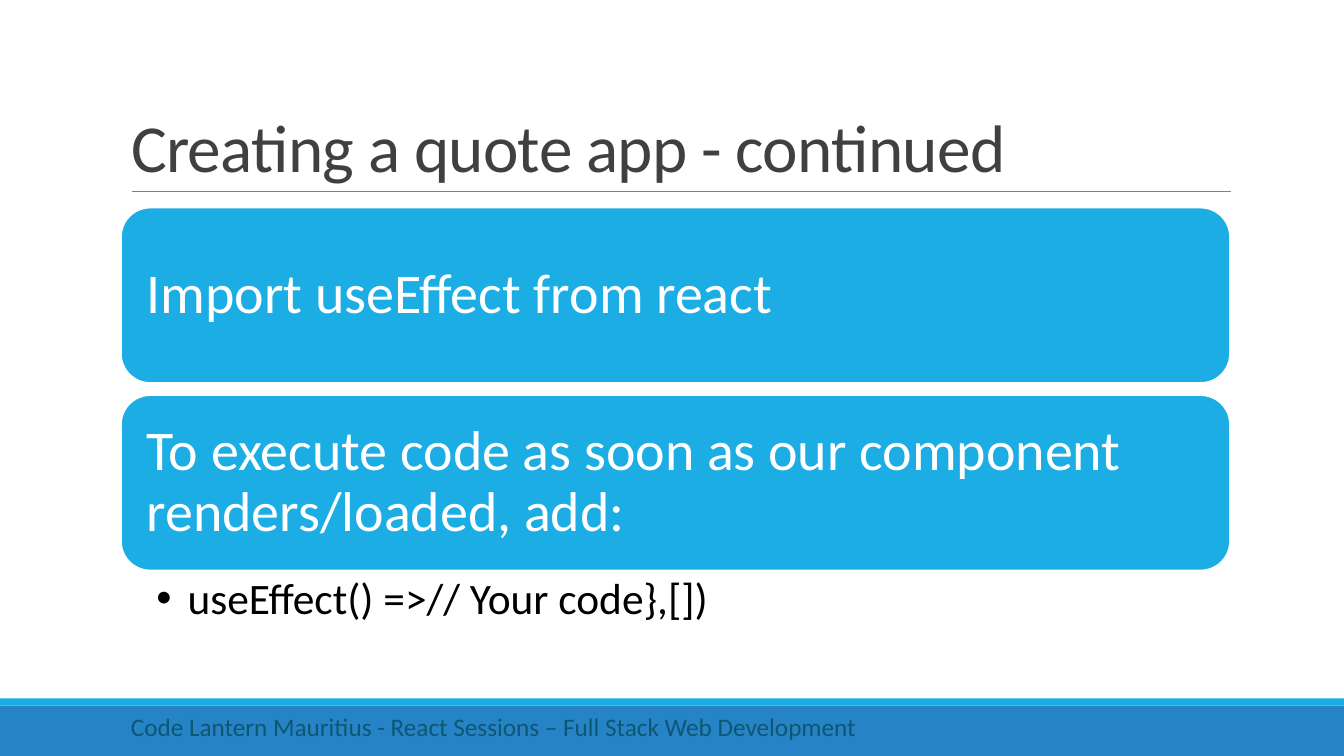
from dataclasses import dataclass

from lxml.etree import SubElement
from pptx import Presentation
from pptx.dml.color import RGBColor as Rgb
from pptx.enum.shapes import MSO_CONNECTOR as Connector, MSO_SHAPE as Preset
from pptx.enum.text import MSO_ANCHOR as Anchor, MSO_AUTO_SIZE as AutoSize, PP_ALIGN as Align
from pptx.oxml.ns import qn
from pptx.util import Inches, Pt


@dataclass(frozen=True)
class Theme:
    font: str = "Calibri"
    sky: str = "1CADE4"
    blue: str = "2683C6"
    white: str = "FFFFFF"
    black: str = "000000"
    heading: str = "404040"
    rule: str = "808080"
    credit: str = "0E5772"
    title_size: int = 48
    step_size: int = 40
    code_size: int = 31
    credit_size: int = 18


class QuoteSlide:
    """Draws the slide on a grid of 133.3 columns by 75 rows, each 0.1 inch."""

    columns, rows = 133.3, 75

    def __init__(self, deck, theme):
        self.theme = theme
        deck.slide_width, deck.slide_height = self.cells(self.columns, self.rows)
        self.slide = deck.slides.add_slide(deck.slide_layouts[1])
        self.shapes = self.slide.shapes

    def cells(self, *counts):
        return [Inches(count / 10) for count in counts]

    def place(self, holder, box):
        holder.left, holder.top, holder.width, holder.height = self.cells(*box)

    def set_text(self, holder, text, size, color, anchor, insets=(1, 0.5, 1, 0.5), spacing=1.0):
        frame = holder.text_frame
        frame.word_wrap, frame.auto_size = True, AutoSize.NONE
        frame.vertical_anchor = anchor
        (frame.margin_left, frame.margin_top,
         frame.margin_right, frame.margin_bottom) = self.cells(*insets)
        frame.text = text
        line = frame.paragraphs[0]
        line.alignment, line.line_spacing = Align.LEFT, spacing
        line.space_before = Pt(0)
        line.font.name, line.font.size = self.theme.font, Pt(size)
        line.font.color.rgb = Rgb.from_string(color)
        return line

    def block(self, box, fill, preset=Preset.RECTANGLE, outline=None):
        block = self.shapes.add_shape(preset, *self.cells(*box))
        block.shadow.inherit = False
        block.fill.solid()
        block.fill.fore_color.rgb = Rgb.from_string(fill)
        if outline:
            block.line.color.rgb = Rgb.from_string(outline)
            block.line.width = Pt(1.25)
        else:
            block.line.fill.background()
        return block

    def rule(self, start, end, row):
        rule = self.shapes.add_connector(Connector.STRAIGHT, *self.cells(start, row, end, row))
        rule.line.color.rgb = Rgb.from_string(self.theme.rule)
        rule.line.width = Pt(0.5)
        SubElement(rule._element.spPr, qn("a:effectLst"))

    def title(self, text, box):
        heading = self.shapes.title
        self.place(heading, box)
        line = self.set_text(heading, text, self.theme.title_size, self.theme.heading,
                             Anchor.BOTTOM, spacing=0.85)
        line._p.pPr.find(qn("a:defRPr")).set("spc", "-50")

    def step(self, text, box):
        step = self.block(box, self.theme.sky, Preset.ROUNDED_RECTANGLE, self.theme.white)
        self.set_text(step, text, self.theme.step_size, self.theme.white,
                      Anchor.MIDDLE, (1.7,) * 4, 0.9)

    def code(self, text, box):
        code = self.slide.placeholders[1]
        self.place(code, box)
        line = self.set_text(code, text, self.theme.code_size, self.theme.black,
                             Anchor.TOP, (3.5, 0.6, 3.1, 0.6), 0.9)
        hang = Inches(0.31)
        line._p.pPr.set("marL", str(hang))
        line._p.pPr.set("indent", str(-hang))

    def credit(self, text, box):
        credit = self.shapes.add_textbox(*self.cells(*box))
        self.set_text(credit, text, self.theme.credit_size, self.theme.credit, Anchor.TOP)


def main():
    deck, theme = Presentation(), Theme()
    page = QuoteSlide(deck, theme)
    left, width = 12, 110
    first_step, step_height, step_pitch = 20.6, 17.4, 18.6
    steps = ("Import useEffect from react",
             "To execute code as soon as our component renders/loaded, add:")

    page.block((0, 70, page.columns, 5), theme.blue)
    page.block((0, 69.3, page.columns, 0.7), theme.sky)
    page.rule(13.1, 122.1, 19)
    page.title("Creating a quote app - continued", (left, 3.1, width, 15.9))
    for index, text in enumerate(steps):
        page.step(text, (left, first_step + index * step_pitch, width, step_height))
    page.code("useEffect() =>// Your code},[])", (left, 56.6, width, 7.2))
    page.credit("Code Lantern Mauritius - React Sessions – Full Stack Web Development",
                (left, 70.1, 77.8, 4))
    deck.save("out.pptx")


if __name__ == "__main__":
    main()
